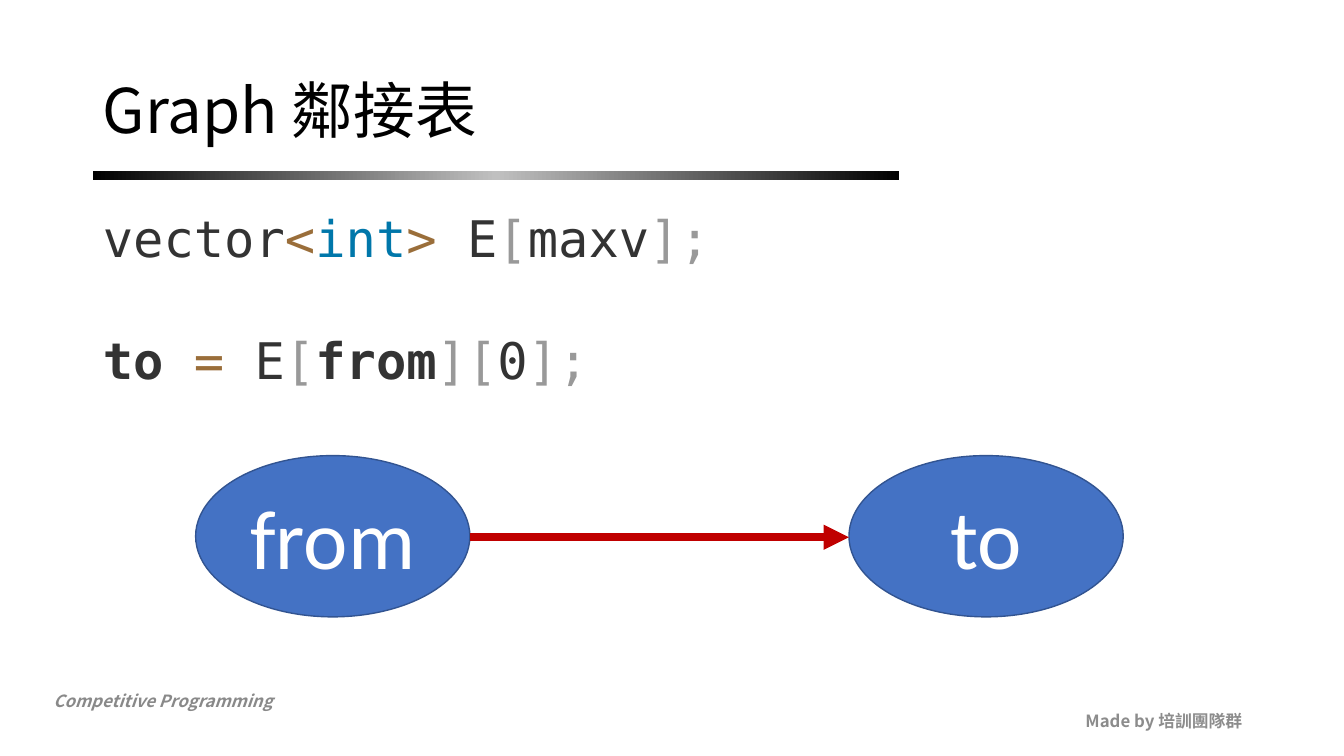
from lxml import etree
from pptx import Presentation
from pptx.dml.color import RGBColor
from pptx.enum.shapes import MSO_CONNECTOR, MSO_SHAPE
from pptx.enum.text import MSO_ANCHOR, MSO_AUTO_SIZE, PP_ALIGN
from pptx.oxml.ns import qn
from pptx.util import Inches, Pt

OVAL, RECT = MSO_SHAPE.OVAL, MSO_SHAPE.RECTANGLE
STRAIGHT = MSO_CONNECTOR.STRAIGHT
TOP, MIDDLE = MSO_ANCHOR.TOP, MSO_ANCHOR.MIDDLE
LEFT, CENTER, RIGHT = PP_ALIGN.LEFT, PP_ALIGN.CENTER, PP_ALIGN.RIGHT
SANS, MONO, LABEL = "Noto Sans CJK SC", "DejaVu Sans Mono", "Calibri"
COLORS = {
    "black": "000000", "silver": "C0C0C0", "white": "FFFFFF",
    "footer": "898989", "credit": "8C8C8C",
    "plain": "333333", "sign": "9A6E3A", "type": "0077AA", "mark": "999999",
    "node": "4472C4", "edge": "325491", "arrow": "C00000",
}
CODE = [
    [("vector", "plain"), ("<", "sign"), ("int", "type"), (">", "sign"),
     (" E", "plain"), ("[", "mark"), ("maxv", "plain"), ("];", "mark")],
    [("to ", "plain", True), ("=", "sign"), (" E", "plain"), ("[", "mark"),
     ("from", "plain", True), ("][", "mark"), ("0", "plain"), ("];", "mark")],
]


def color(name):
    return RGBColor.from_string(COLORS[name])


def place(shape, *box):
    shape.left, shape.top, shape.width, shape.height = map(Inches, box)


def style(para, face, size, tone=None, align=LEFT):
    para.alignment = align
    font = para.font
    font.name, font.size = face, Pt(size)
    if tone:
        font.color.rgb = color(tone)
    latin = para._p.pPr.find(qn("a:defRPr")).find(qn("a:latin"))
    east = etree.Element(qn("a:ea"), typeface=face)
    latin.addnext(east)
    return font


def frame(shape, anchor):
    text = shape.text_frame
    text.word_wrap = True
    text.auto_size = MSO_AUTO_SIZE.NONE
    text.vertical_anchor = anchor
    return text


def add_note(slide, box, words, tone, anchor, align, italic=False):
    note = slide.shapes.add_textbox(*map(Inches, box))
    text = frame(note, anchor)
    text.text = words
    font = style(text.paragraphs[0], SANS, 12, tone, align)
    font.bold, font.italic = True, italic


def add_rule(slide):
    rule = slide.shapes.add_shape(RECT, *map(Inches, (0.92, 1.7, 8, 0.09)))
    rule.shadow.inherit = False
    rule.line.fill.background()
    rule.fill.gradient()
    rule.fill.gradient_angle = 0
    stops = rule.fill._fill._gradFill.find(qn("a:gsLst"))
    for stop in list(stops):
        stops.remove(stop)
    for spot, tone in ((0, "black"), (50, "silver"), (100, "black")):
        stop = etree.SubElement(stops, qn("a:gs"), pos=str(spot * 1000))
        etree.SubElement(stop, qn("a:srgbClr"), val=COLORS[tone])


def set_title(slide):
    title = slide.shapes.title
    place(title, 0.92, 0.4, 11.5, 1.45)
    text = frame(title, MIDDLE)
    text.text = "Graph 鄰接表"
    para = text.paragraphs[0]
    para.line_spacing = 0.9
    style(para, SANS, 44, "black")


def set_code(slide):
    body = slide.placeholders[1]
    place(body, 0.92, 2, 11.5, 4.76)
    text = frame(body, TOP)
    for row, parts in enumerate(CODE):
        para = text.add_paragraph() if row else text.paragraphs[0]
        props = para._p.get_or_add_pPr()
        props.set("marL", "0")
        props.set("indent", "0")
        etree.SubElement(props, qn("a:buNone"))
        para.space_before = Pt(44 * row)
        style(para, MONO, 36)
        for words, tone, *bold in parts:
            run = para.add_run()
            run.text = words
            run.font.color.rgb = color(tone)
            if bold:
                run.font.bold = True


def add_node(slide, left, words):
    node = slide.shapes.add_shape(OVAL, *map(Inches, (left, 4.52, 2.72, 1.6)))
    node.shadow.inherit = False
    node.fill.solid()
    node.fill.fore_color.rgb = color("node")
    node.line.color.rgb = color("edge")
    node.line.width = Pt(1)
    text = frame(node, MIDDLE)
    text.text = words
    style(text.paragraphs[0], LABEL, 60, "white", CENTER)


def add_arrow(slide, start, end, level):
    arrow = slide.shapes.add_connector(
        STRAIGHT, *map(Inches, (start, level, end, level)))
    arrow.line.color.rgb = color("arrow")
    arrow.line.width = Pt(6)
    etree.SubElement(arrow.line._get_or_add_ln(), qn("a:tailEnd"), type="triangle")
    etree.SubElement(arrow._element.spPr, qn("a:effectLst"))


def main():
    deck = Presentation()
    deck.slide_width, deck.slide_height = Inches(13.33), Inches(7.5)
    slide = deck.slides.add_slide(deck.slide_layouts[1])
    add_note(slide, (0.43, 6.8, 4.25, 0.3), "Competitive Programming",
             "footer", TOP, LEFT, True)
    add_note(slide, (9.42, 6.95, 3, 0.4), "Made by 培訓團隊群",
             "credit", MIDDLE, RIGHT)
    add_rule(slide)
    set_title(slide)
    set_code(slide)
    add_node(slide, 1.94, "from")
    add_node(slide, 8.42, "to")
    add_arrow(slide, 4.66, 8.42, 5.33)
    deck.save("out.pptx")


if __name__ == "__main__":
    main()
